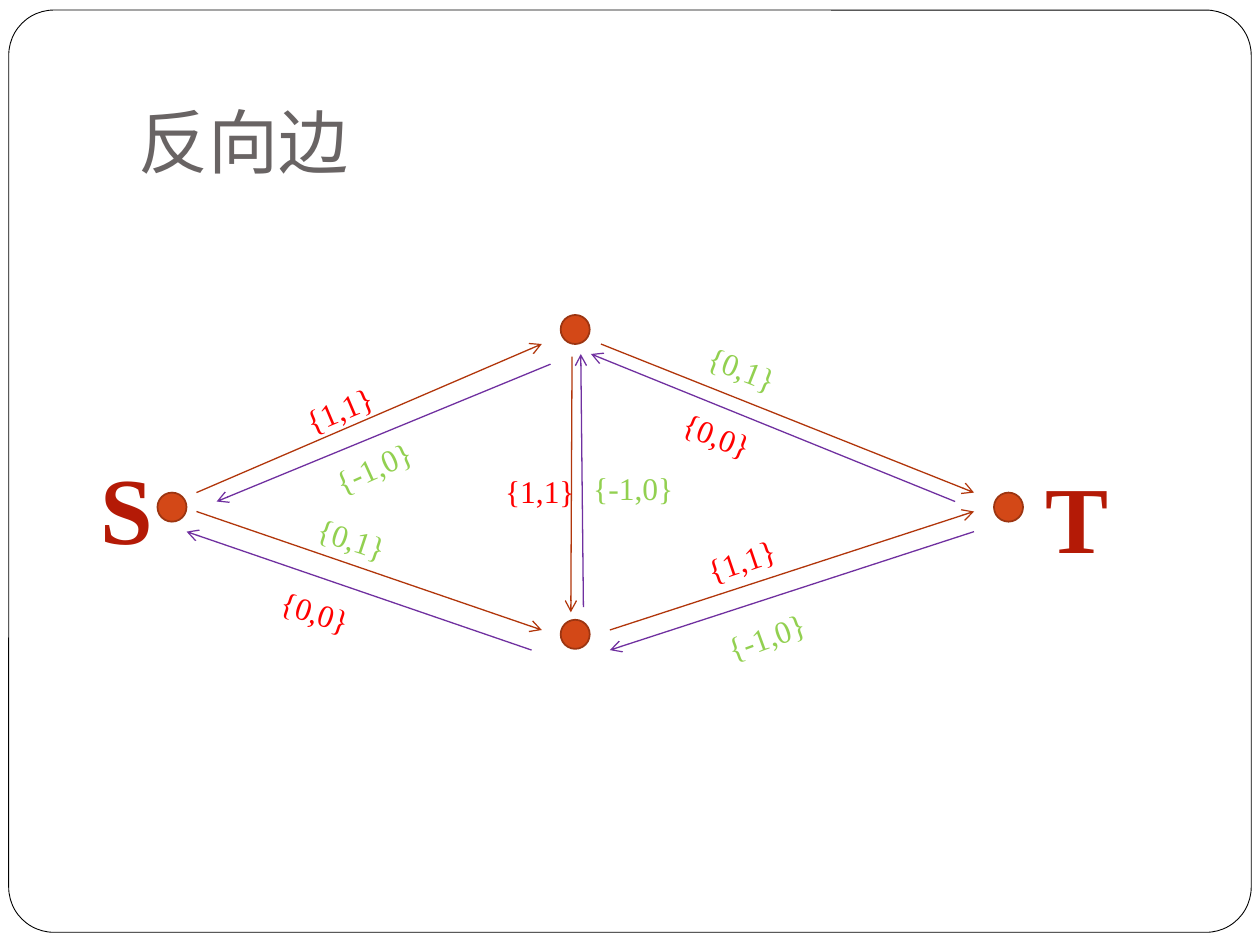
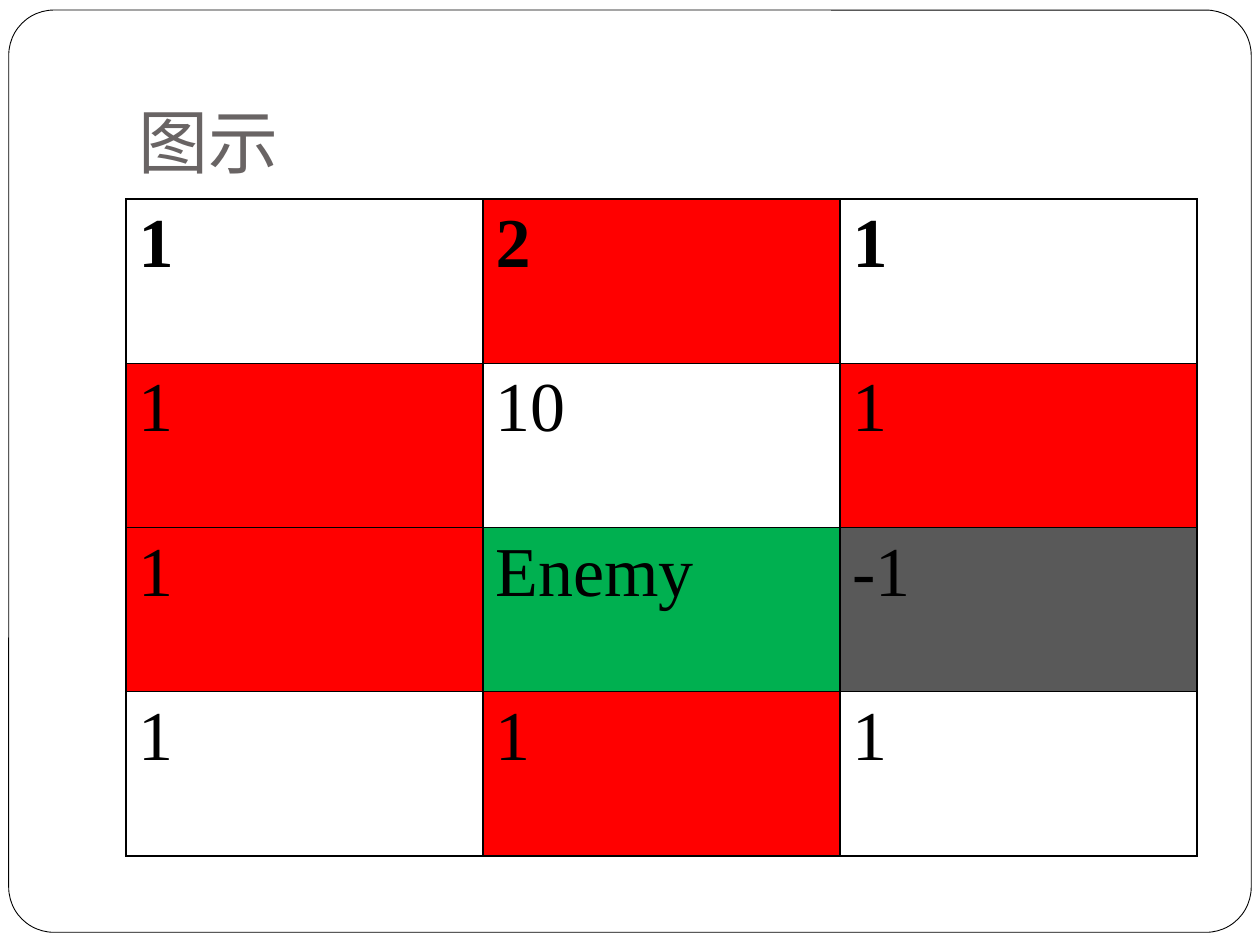
from pptx import Presentation
from pptx.dml.color import RGBColor
from pptx.enum.shapes import MSO_CONNECTOR as CONN, MSO_SHAPE as SHAPE
from pptx.enum.text import MSO_ANCHOR as ANCHOR, PP_ALIGN as ALIGN
from pptx.oxml import parse_xml
from pptx.oxml.ns import nsdecls, qn
from pptx.util import Pt

WHITE = RGBColor(0xFF, 0xFF, 0xFF)
BLACK = RGBColor(0, 0, 0)
TITLE_GREY = RGBColor(0x69, 0x64, 0x64)
ORANGE = RGBColor(0xD3, 0x48, 0x17)
BROWN = RGBColor(0x9C, 0x35, 0x11)
RUST = RGBColor(0xB1, 0x36, 0x0B)
PURPLE = RGBColor(0x70, 0x30, 0xA0)
CRIMSON = RGBColor(0xB4, 0x1A, 0x06)
RED = RGBColor(0xFF, 0, 0)
LIME = RGBColor(0x92, 0xD0, 0x50)
GREEN = RGBColor(0, 0xB0, 0x50)
DARK = RGBColor(0x59, 0x59, 0x59)

TITLE_FONT = "Roboto"
BODY_FONT = "Times New Roman"


class Deck:
    """Holds the shared style and the current slide."""

    def __init__(self):
        self.prs = Presentation()
        self.prs.slide_width, self.prs.slide_height = Pt(720), Pt(540)
        self.s = None

    def slide(self, title):
        """Start a slide with the rounded frame and its title."""
        self.s = self.prs.slides.add_slide(self.prs.slide_layouts[6])
        frame = self.shape(SHAPE.ROUNDED_RECTANGLE, 5, 5.75, 710, 527,
                           WHITE, BLACK, 0.5)
        frame.adjustments[0] = 0.049
        sp = self.text(title, 72, 21.6, 612, 90, 40, TITLE_GREY,
                       font=TITLE_FONT, wrap=True)
        sp.text_frame.vertical_anchor = ANCHOR.BOTTOM
        sp.text_frame.margin_bottom = Pt(7.2)

    def shape(self, kind, x, y, w, h, fill, line, weight):
        sp = self.s.shapes.add_shape(kind, Pt(x), Pt(y), Pt(w), Pt(h))
        sp.shadow.inherit = False
        sp.fill.solid()
        sp.fill.fore_color.rgb = fill
        sp.line.color.rgb = line
        sp.line.width = Pt(weight)
        return sp

    def run(self, p, text, size, color, font=BODY_FONT, bold=False):
        r = p.add_run()
        r.text = text
        r.font.name, r.font.size, r.font.bold = font, Pt(size), bold
        r.font.color.rgb = color
        latin = r.font._element.find(qn("a:latin"))
        latin.addnext(parse_xml(f'<a:ea {nsdecls("a")} typeface="{font}"/>'))

    def text(self, text, x, y, w, h, size, color, font=BODY_FONT,
             bold=False, align=ALIGN.LEFT, wrap=False, angle=0):
        sp = self.s.shapes.add_textbox(Pt(x), Pt(y), Pt(w), Pt(h))
        sp.rotation = angle
        tf = sp.text_frame
        tf.word_wrap = wrap
        p = tf.paragraphs[0]
        p.alignment = align
        self.run(p, text, size, color, font, bold)
        return sp

    def arrow(self, start, end, color):
        c = self.s.shapes.add_connector(CONN.STRAIGHT, *map(Pt, start + end))
        c.line.color.rgb = color
        c.line.width = Pt(0.75)
        ln = c.line._get_or_add_ln()
        ln.append(parse_xml(f'<a:tailEnd {nsdecls("a")} type="arrow"/>'))
        ln.addnext(parse_xml(f'<a:effectLst {nsdecls("a")}/>'))

    def table(self, rows, x, y, w, h, size):
        """Draw rows of (text, fill) cells, the first row in bold."""
        tb = self.s.shapes.add_table(len(rows), len(rows[0]),
                                     Pt(x), Pt(y), Pt(w), Pt(h)).table
        for i, row in enumerate(rows):
            for j, (text, fill) in enumerate(row):
                cell = tb.cell(i, j)
                self.borders(cell)
                cell.fill.solid()
                cell.fill.fore_color.rgb = fill
                self.run(cell.text_frame.paragraphs[0], text, size, BLACK,
                         bold=i == 0)

    def borders(self, cell):
        tc_pr = cell._tc.get_or_add_tcPr()
        for side in "LRTB":
            tc_pr.append(parse_xml(
                f'<a:ln{side} {nsdecls("a")} w="{Pt(1)}"><a:solidFill>'
                f'<a:srgbClr val="{BLACK}"/></a:solidFill></a:ln{side}>'))


def reverse_edges(deck):
    deck.slide("反向边")

    # Nodes: source, sink, bottom, top
    for x, y in [(90, 281.5), (568, 281.5), (320.4, 354.2), (320.4, 180)]:
        deck.shape(SHAPE.OVAL, x, y, 16.6, 16.6, ORANGE, BROWN, 1)
    for name, x, y, w in [("S", 50.4, 253.4, 36), ("T", 590.4, 258.5, 44)]:
        deck.text(name, x, y, w, 72.7, 54, CRIMSON, bold=True,
                  align=ALIGN.CENTER)

    # Forward and backward edges
    forward = [
        ((112.3, 281.5), (309.6, 196.6)),
        ((112.3, 292.3), (309.6, 360)),
        ((343.4, 196.6), (556.6, 281.5)),
        ((348.5, 360), (556.6, 292.3)),
        ((326.9, 203.8), (326.2, 349.9)),
    ]
    backward = [
        ((314.6, 208.1), (123.8, 286.6)),
        ((303.8, 371.5), (106.6, 303.8)),
        ((545.8, 286.6), (337.7, 202.3)),
        ((556.6, 303.8), (348.5, 371.5)),
        ((333.4, 347), (331.9, 202.3)),
    ]
    for edges, color in [(forward, RUST), (backward, PURPLE)]:
        for start, end in edges:
            deck.arrow(start, end, color)

    # Edge labels: x, y, angle for each value
    labels = [
        ("{1,1}", RED, 106.6, [(164.9, 209.5, -22.9), (281.5, 266.4, 0),
                               (395.3, 297.4, -18.7)]),
        ("{0,1}", LIME, 106.6, [(172.8, 301.7, 18.4), (395.3, 205.9, 21.5)]),
        ("{0,0}", RED, 106.6, [(151.9, 343.4, 18.5), (380.9, 244.1, 22.1)]),
        ("{-1,0}", LIME, 73.4, [(182.9, 249.8, -24.4), (331.9, 264.2, 0),
                                (407.5, 347, -20.1)]),
    ]
    for value, color, w, places in labels:
        for x, y, angle in places:
            deck.text(value, x, y, w, 29, 18, color, wrap=True, angle=angle)


def grid_diagram(deck):
    deck.slide("图示")
    deck.table([
        [("1", WHITE), ("2", RED), ("1", WHITE)],
        [("1", RED), ("10", WHITE), ("1", RED)],
        [("1", RED), ("Enemy", GREEN), ("-1", DARK)],
        [("1", WHITE), ("1", RED), ("1", WHITE)],
    ], 72, 113.8, 612, 375.2, 40)


def main():
    deck = Deck()
    reverse_edges(deck)
    grid_diagram(deck)
    deck.prs.save("out.pptx")


if __name__ == "__main__":
    main()
